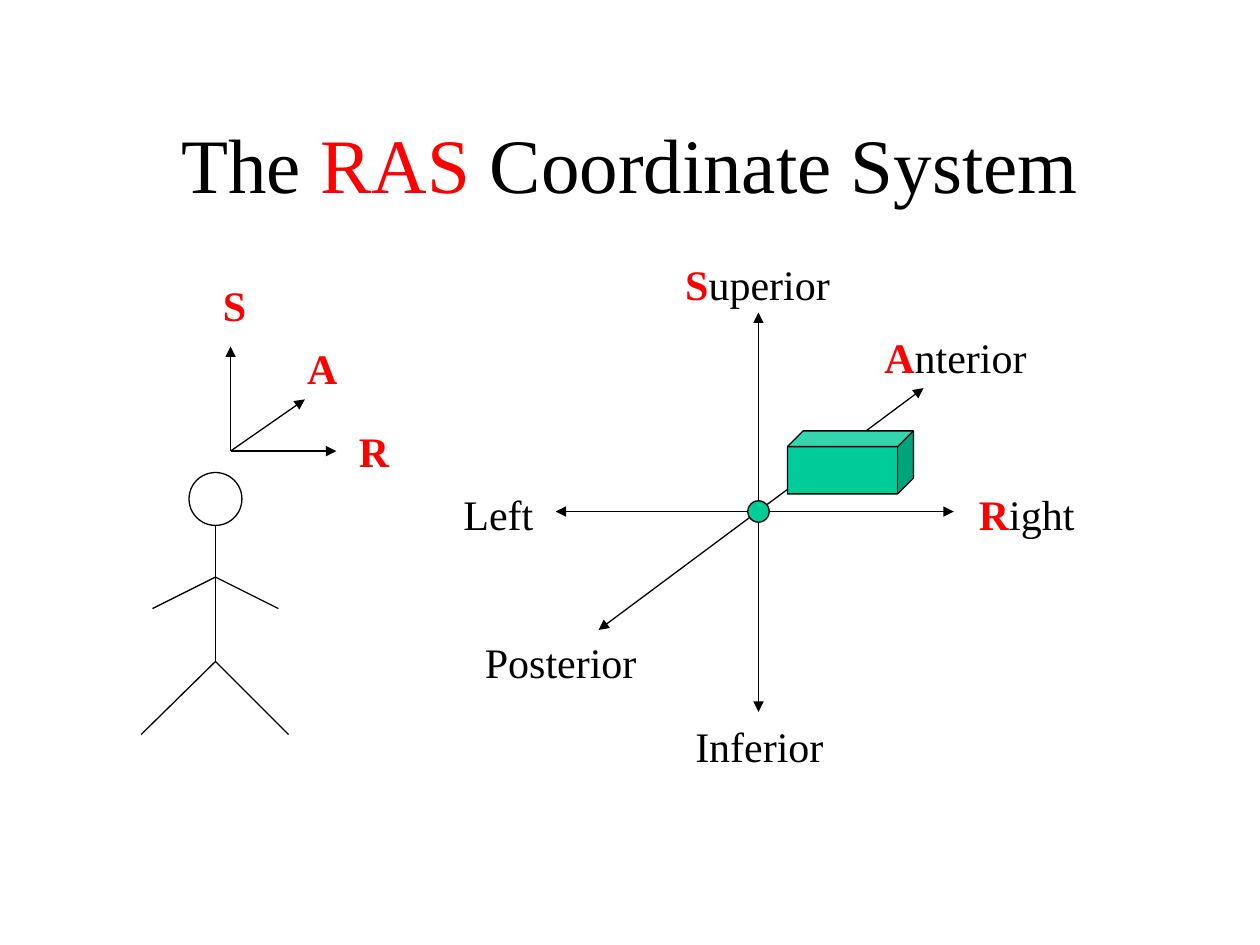
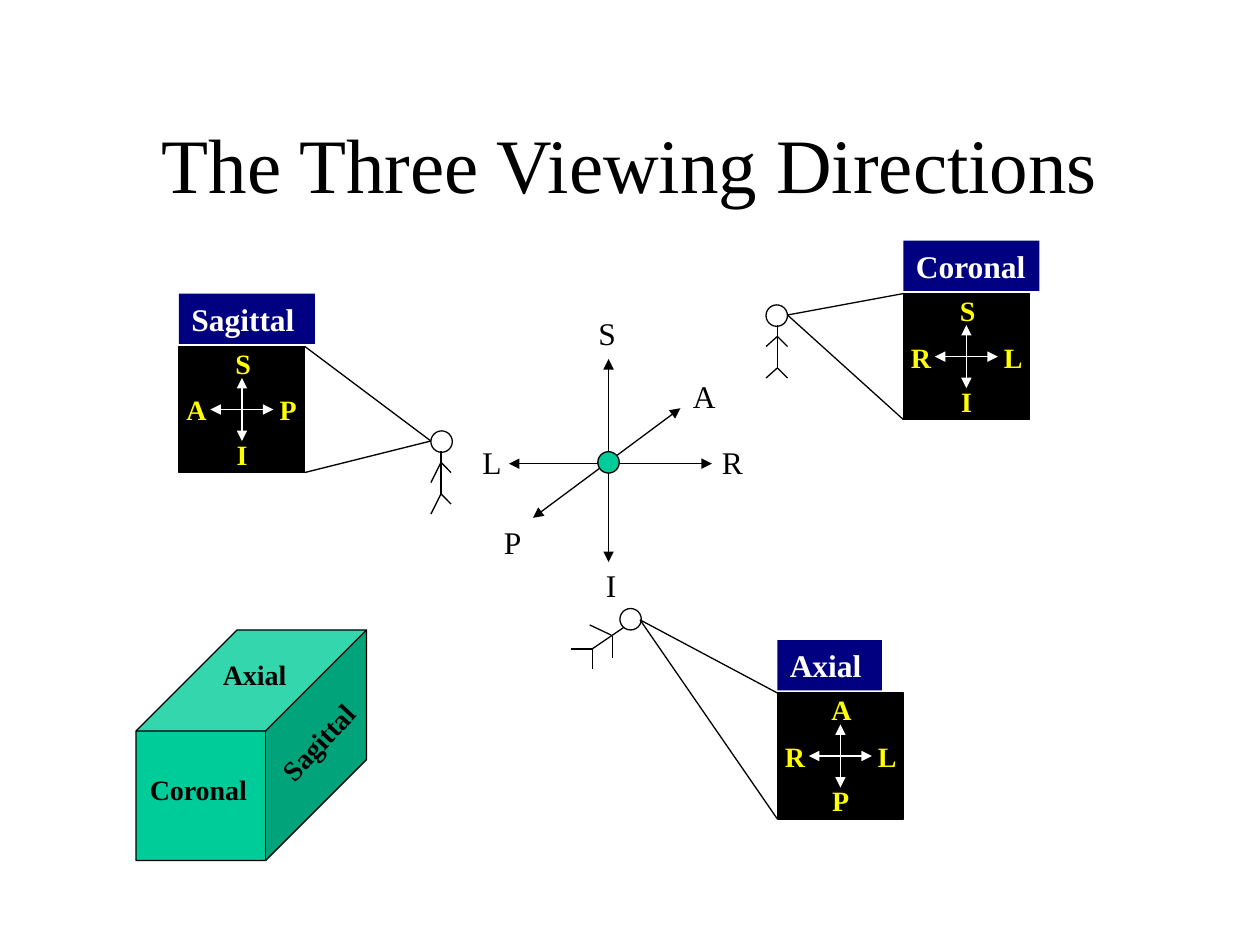
from lxml import etree
from pptx import Presentation
from pptx.dml import color as dml
from pptx.enum import shapes, text
from pptx.oxml import ns
from pptx.util import Inches, Pt

# Shared look
FONT = "Times New Roman"
BLACK, WHITE, RED, YELLOW = "000000", "FFFFFF", "FF0000", "FFFF00"
GREEN, NAVY = "00CC99", "000080"
LINE_WIDTH = 0.74
DOT = 0.17
LABEL_SLACK = 0.02  # keeps a label on one line

# Slide 1 content: runs are (text, colour, bold)
RAS_TITLE = [("The ", BLACK, False), ("RAS", RED, False),
             (" Coordinate System", BLACK, False)]
DIRECTIONS = [  # red initial, rest, left, top, width
    ("R", "ight", 7.67, 3.83, 0.96),
    ("A", "nterior", 6.92, 2.58, 1.33),
    ("S", "uperior", 5.34, 2, 1.35),
    ("", "Inferior", 5.42, 5.67, 1.22),
    ("", "Posterior", 3.75, 5, 1.4),
    ("", "Left", 3.58, 3.83, 0.75),
    ("R", "", 2.75, 3.33, 0.44),
    ("A", "", 2.34, 2.67, 0.44),
    ("S", "", 1.67, 2.17, 0.38),
]
BODY_AXES = [((4.41, 4.06), (7.57, 4.06)), ((6.02, 5.65), (6.02, 2.48)),
             ((4.75, 5), (7.33, 3.08))]
BODY_CENTRE = (6.02, 4.06)
RAS_ORIGIN = (1.83, 3.58)
RAS_TIPS = [(2.67, 3.58), (1.83, 2.75), (2.42, 3.17)]

# Stick figures: head (left, top, size) and limbs as (from, to)
PERSON = ((1.5, 3.75, 0.42), [
    ((1.71, 4.17), (1.71, 5.25)),
    ((1.71, 5.25), (1.12, 5.83)), ((1.71, 5.25), (2.29, 5.83)),
    ((1.71, 4.58), (1.21, 4.83)), ((1.71, 4.58), (2.21, 4.83))])
VIEWERS = [
    ((6.08, 2.42, DOT), [
        ((6.17, 2.58), (6.17, 2.92)),
        ((6.17, 2.92), (6.08, 3)), ((6.17, 2.92), (6.25, 3)),
        ((6.17, 2.67), (6.08, 2.75)), ((6.17, 2.67), (6.25, 2.75))]),
    ((4.92, 4.83, DOT), [
        ((4.95, 4.98), (4.7, 5.15)),
        ((4.85, 5.04), (4.68, 4.96)), ((4.86, 5.05), (4.86, 5.22)),
        ((4.7, 5.15), (4.53, 5.15)), ((4.7, 5.15), (4.7, 5.31))]),
    ((3.42, 3.42, DOT), [
        ((3.5, 3.58), (3.5, 3.92)),
        ((3.5, 3.92), (3.42, 4.08)), ((3.5, 3.92), (3.58, 4)),
        ((3.5, 3.67), (3.42, 3.83)), ((3.5, 3.67), (3.58, 3.75))]),
]

# Slide 2 content
VIEWS_TITLE = [("The Three Viewing Directions", BLACK, False)]
VIEW_AXES = [((5.65, 3.68), (4.04, 3.68)), ((4.83, 4.46), (4.83, 2.85)),
             ((4.23, 4.11), (5.4, 3.24))]
VIEW_CENTRE = (4.83, 3.67)
AXIS_LETTERS = [  # letter, left, top, width
    ("R", 5.63, 3.47, 0.36), ("A", 5.4, 2.94, 0.38), ("S", 4.65, 2.44, 0.34),
    ("L", 3.73, 3.47, 0.35), ("P", 3.9, 4.1, 0.34), ("I", 4.71, 4.44, 0.28),
]
PANES = [  # name, banner width, pane corner, top/right/left/bottom, eye, sight edge
    ("Axial", 0.83, (6.17, 5.5), "ALRP", (5.08, 4.92), 0),
    ("Coronal", 1.08, (7.17, 2.33), "SLRI", (6.25, 2.5), 0),
    ("Sagittal", 1.08, (1.42, 2.75), "SPAI", (3.42, 3.5), 1),
]
LETTER_WIDTHS = {"S": 0.32, "A": 0.36, "R": 0.36, "L": 0.35, "P": 0.33, "I": 0.28}
CUBE_FACES = [  # name, left, top, width, rotation
    ("Axial", 1.67, 5.17, 0.7, 0),
    ("Coronal", 1.09, 6.08, 0.97, 0),
    ("Sagittal", 2.06, 5.7, 0.92, 313.1),
]


def rgb(value):
    return dml.RGBColor.from_string(value)


def write_runs(frame, runs, size):
    paragraph = frame.paragraphs[0]
    for words, colour, bold in runs:
        run = paragraph.add_run()
        run.text = words
        run.font.name, run.font.size = FONT, Pt(size)
        run.font.bold, run.font.color.rgb = bold, rgb(colour)
    return paragraph


def add_label(slide, runs, left, top, width, height, size, turn=0):
    label = slide.shapes.add_textbox(
        *map(Inches, (left, top, width + LABEL_SLACK, height)))
    label.rotation = turn
    label.text_frame.word_wrap = False
    label.text_frame.auto_size = text.MSO_AUTO_SIZE.SHAPE_TO_FIT_TEXT
    write_runs(label.text_frame, runs, size)


def add_figure(slide, kind, left, top, width, height, fill=None, line=BLACK):
    figure = slide.shapes.add_shape(kind, *map(Inches, (left, top, width, height)))
    figure.shadow.inherit = False
    if fill:
        figure.fill.solid()
        figure.fill.fore_color.rgb = rgb(fill)
    else:
        figure.fill.background()
    if line:
        figure.line.color.rgb = rgb(line)
        figure.line.width = Pt(LINE_WIDTH)
    else:
        figure.line.fill.background()
    return figure


def add_line(slide, start, end, colour=BLACK, arrows=()):
    """Draw a straight line; arrows names its ends: headEnd, tailEnd."""
    line = slide.shapes.add_connector(shapes.MSO_CONNECTOR.STRAIGHT,
                                      *map(Inches, (*start, *end)))
    line.line.color.rgb = rgb(colour)
    line.line.width = Pt(LINE_WIDTH)
    outline = line.line._get_or_add_ln()
    for arrow in arrows:
        etree.SubElement(outline, ns.qn("a:" + arrow), type="triangle")
    etree.SubElement(line._element.spPr, ns.qn("a:effectLst"))


def add_double_arrow(slide, start, end, colour=BLACK):
    add_line(slide, start, end, colour, ("headEnd", "tailEnd"))


def add_axes(slide, axes, centre):
    for start, end in axes:
        add_double_arrow(slide, start, end)
    x, y = centre
    add_figure(slide, shapes.MSO_SHAPE.OVAL, x - DOT / 2, y - DOT / 2, DOT, DOT, GREEN)


def add_person(slide, head, limbs):
    left, top, size = head
    add_figure(slide, shapes.MSO_SHAPE.OVAL, left, top, size, size)
    for start, end in limbs:
        add_line(slide, start, end)


def add_pane(slide, name, banner_width, corner, letters, eye, sight_edge):
    x, y = corner
    add_figure(slide, shapes.MSO_SHAPE.RECTANGLE, x, y, 1, 1, BLACK)
    add_double_arrow(slide, (x + 0.5, y + 0.25), (x + 0.5, y + 0.75), WHITE)
    add_double_arrow(slide, (x + 0.25, y + 0.5), (x + 0.75, y + 0.5), WHITE)
    # Top and bottom letters are centred, side letters sit at fixed offsets
    top, right, left, bottom = letters
    for letter, dx, dy in [(top, 0.51 - LETTER_WIDTHS[top] / 2, -0.05),
                           (right, 0.7, 0.32), (left, -0.04, 0.32),
                           (bottom, 0.5 - LETTER_WIDTHS[bottom] / 2, 0.67)]:
        add_label(slide, [(letter, YELLOW, True)], x + dx, y + dy,
                  LETTER_WIDTHS[letter], 0.37, 16)
    banner = add_figure(slide, shapes.MSO_SHAPE.RECTANGLE, x, y - 0.42,
                        banner_width, 0.4, NAVY, None)
    banner.text_frame.vertical_anchor = text.MSO_ANCHOR.TOP
    banner.text_frame.word_wrap = True
    paragraph = write_runs(banner.text_frame, [(name, WHITE, True)], 18)
    paragraph.alignment = text.PP_ALIGN.LEFT
    for edge_y in (y, y + 1):
        add_line(slide, eye, (x + sight_edge, edge_y))


def add_cube(slide, left, top, width, height, depth):
    cube = add_figure(slide, shapes.MSO_SHAPE.CUBE, left, top, width, height, GREEN)
    cube.adjustments[0] = depth


def add_slide(deck, title_runs):
    slide = deck.slides.add_slide(deck.slide_layouts[5])
    title = slide.shapes.title
    title.left, title.top, title.width, title.height = map(
        Inches, (0.75, 0.67, 8.5, 1.25))
    title.text_frame.vertical_anchor = text.MSO_ANCHOR.MIDDLE
    title.text_frame.auto_size = text.MSO_AUTO_SIZE.NONE
    write_runs(title.text_frame, title_runs, 44).alignment = text.PP_ALIGN.CENTER
    return slide


deck = Presentation()
deck.slide_width, deck.slide_height = Inches(10), Inches(7.5)

# Slide 1: coordinate system
system = add_slide(deck, RAS_TITLE)
add_person(system, *PERSON)
for initial, rest, left, top, width in DIRECTIONS:
    runs = [run for run in ((initial, RED, True), (rest, BLACK, False)) if run[0]]
    add_label(system, runs, left, top, width, 0.5, 24)
add_axes(system, BODY_AXES, BODY_CENTRE)
for tip in RAS_TIPS:
    add_line(system, RAS_ORIGIN, tip, arrows=("tailEnd",))
add_cube(system, 6.25, 3.42, 1, 0.5, 0.25)

# Slide 2: viewing directions
views = add_slide(deck, VIEWS_TITLE)
add_axes(views, VIEW_AXES, VIEW_CENTRE)
for letter, left, top, width in AXIS_LETTERS:
    add_label(views, [(letter, BLACK, False)], left, top, width, 0.4, 18)
for viewer in VIEWERS:
    add_person(views, *viewer)
for pane in PANES:
    add_pane(views, *pane)
add_cube(views, 1.08, 5, 1.83, 1.83, 0.438)
for name, left, top, width, turn in CUBE_FACES:
    add_label(views, [(name, BLACK, True)], left, top, width, 0.37, 16, turn)

deck.save("out.pptx")
